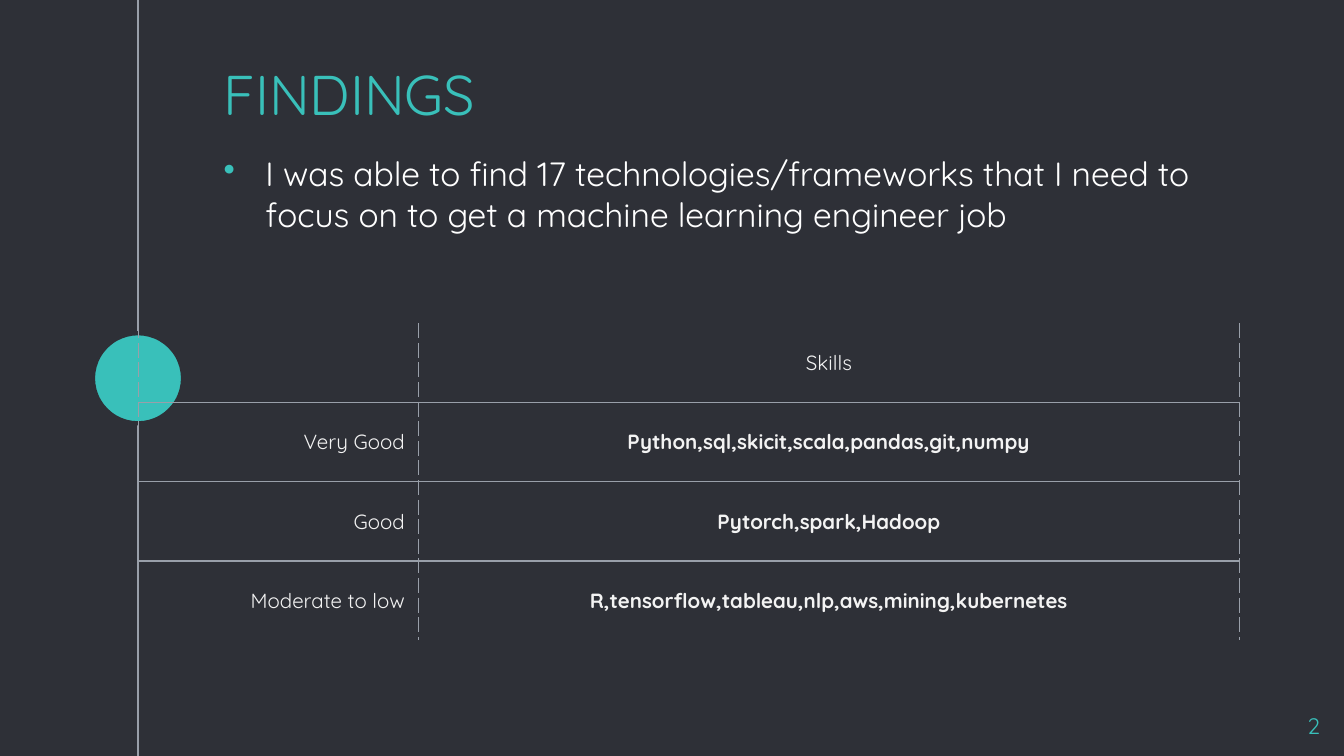
from lxml import etree
from pptx import Presentation, util as u
from pptx.dml.color import RGBColor
from pptx.enum import shapes, text
from pptx.oxml.ns import qn

COLORS = {"back": "2E3037", "teal": "39C0BA", "rule": "999FA9",
          "white": "FFFFFF", "pale": "F3F3F3"}
FONT = "Quicksand"
COLUMNS, ROWS = 100, 56.25  # grid of tenths of an inch
UNIT = u.Inches(0.1)


def rgb(name):
    return RGBColor.from_string(COLORS[name])


def units(*lengths):
    return [u.Emu(round(length * UNIT)) for length in lengths]


class SlideBuilder:
    def __init__(self, deck):
        self.page = deck.slides.add_slide(deck.slide_layouts[6])
        fill = self.page.background.fill
        fill.solid()
        fill.fore_color.rgb = rgb("back")

    def style(self, para, size, color, align="LEFT", bold=False):
        para.alignment = getattr(text.PP_ALIGN, align)
        font = para.font
        font.name, font.size, font.bold = FONT, u.Pt(size), bold
        font.color.rgb = rgb(color)

    def line(self, x1, y1, x2, y2):
        line = self.page.shapes.add_connector(
            shapes.MSO_CONNECTOR.STRAIGHT, *units(x1, y1, x2, y2))
        line.line.color.rgb = rgb("rule")
        line.line.width = u.Pt(0.75)
        etree.SubElement(line._element.spPr, qn("a:effectLst"))

    def circle(self, x, y, size):
        dot = self.page.shapes.add_shape(
            shapes.MSO_SHAPE.OVAL, *units(x, y, size, size))
        dot.shadow.inherit = False
        dot.fill.solid()
        dot.fill.fore_color.rgb = rgb("teal")
        dot.line.color.rgb = rgb("back")
        dot.line.width = u.Pt(2.25)

    def text(self, words, x, y, w, h, size, color="teal", align="LEFT", anchor="TOP"):
        frame = self.page.shapes.add_textbox(*units(x, y, w, h)).text_frame
        frame.word_wrap = True
        frame.vertical_anchor = getattr(text.MSO_ANCHOR, anchor)
        frame.margin_left = frame.margin_right = UNIT
        frame.margin_top = frame.margin_bottom = UNIT
        para = frame.paragraphs[0]
        para.text = words
        self.style(para, size, color, align)
        return para

    def bullet(self, para, indent):
        props = para._p.get_or_add_pPr()
        props.set("marL", str(units(indent)[0]))
        props.set("indent", str(units(-indent)[0]))
        color = etree.SubElement(props, qn("a:buClr"))
        etree.SubElement(color, qn("a:srgbClr"), val=COLORS["teal"])
        etree.SubElement(props, qn("a:buChar"), char="•")
        props.append(props.find(qn("a:defRPr")))  # schema order

    def borders(self, cell, **dashes):
        props = cell._tc.get_or_add_tcPr()
        for place, side in enumerate("LRTB"):
            edge = etree.Element(qn("a:ln" + side), w=str(u.Pt(0.75)))
            if dashes[side]:
                fill = etree.SubElement(edge, qn("a:solidFill"))
                etree.SubElement(fill, qn("a:srgbClr"), val=COLORS["rule"])
                etree.SubElement(edge, qn("a:prstDash"), val=dashes[side])
            else:
                etree.SubElement(edge, qn("a:noFill"))
            props.insert(place, edge)

    def table(self, rows, x, y, widths, row_height):
        last = len(rows) - 1
        table = self.page.shapes.add_table(
            len(rows), len(widths),
            *units(x, y, sum(widths), row_height * len(rows))).table
        table.first_row = table.horz_banding = False
        for column, width in zip(table.columns, units(*widths)):
            column.width = width
        for r, row in enumerate(rows):
            for c, words in enumerate(row):
                cell = table.cell(r, c)
                cell.fill.background()
                cell.vertical_anchor = text.MSO_ANCHOR.MIDDLE
                cell.margin_left = cell.margin_right = UNIT
                cell.margin_top, cell.margin_bottom = units(0.7, 0.7)
                para = cell.text_frame.paragraphs[0]
                para.text = words
                self.style(para, 11, "pale", "CENTER" if c else "RIGHT",
                           bold=r > 0 and c > 0)
                self.borders(cell, L="dash", R="dash",
                             T="solid" if r else None,
                             B="solid" if r < last else None)


deck = Presentation()
deck.slide_width, deck.slide_height = units(COLUMNS, ROWS)
slide = SlideBuilder(deck)

# Timeline rule and marker
slide.line(10.27, 0, 10.27, ROWS)
slide.circle(6.92, 24.8, 6.7)

# Title, finding and page number
slide.text("FINDINGS", 15.65, 4.05, 74, 5.8, 30, anchor="MIDDLE")
finding = slide.text(
    "I was able to find 17 technologies/frameworks that I need to "
    "focus on to get a machine learning engineer job",
    15.65, 10.4, 75.8, 3.9, 18, "white")
slide.bullet(finding, 3.12)
slide.text("2", 93.2, 52, 6, 3.4, 12, align="RIGHT")

# Skills by level
slide.table([
    ("", "Skills"),
    ("Very Good", "Python,sql,skicit,scala,pandas,git,numpy"),
    ("Good", "Pytorch,spark,Hadoop"),
    ("Moderate to low", "R,tensorflow,tableau,nlp,aws,mining,kubernetes"),
], 10.3, 24.05, (20.83, 61.1), 5.9)

deck.save("out.pptx")
